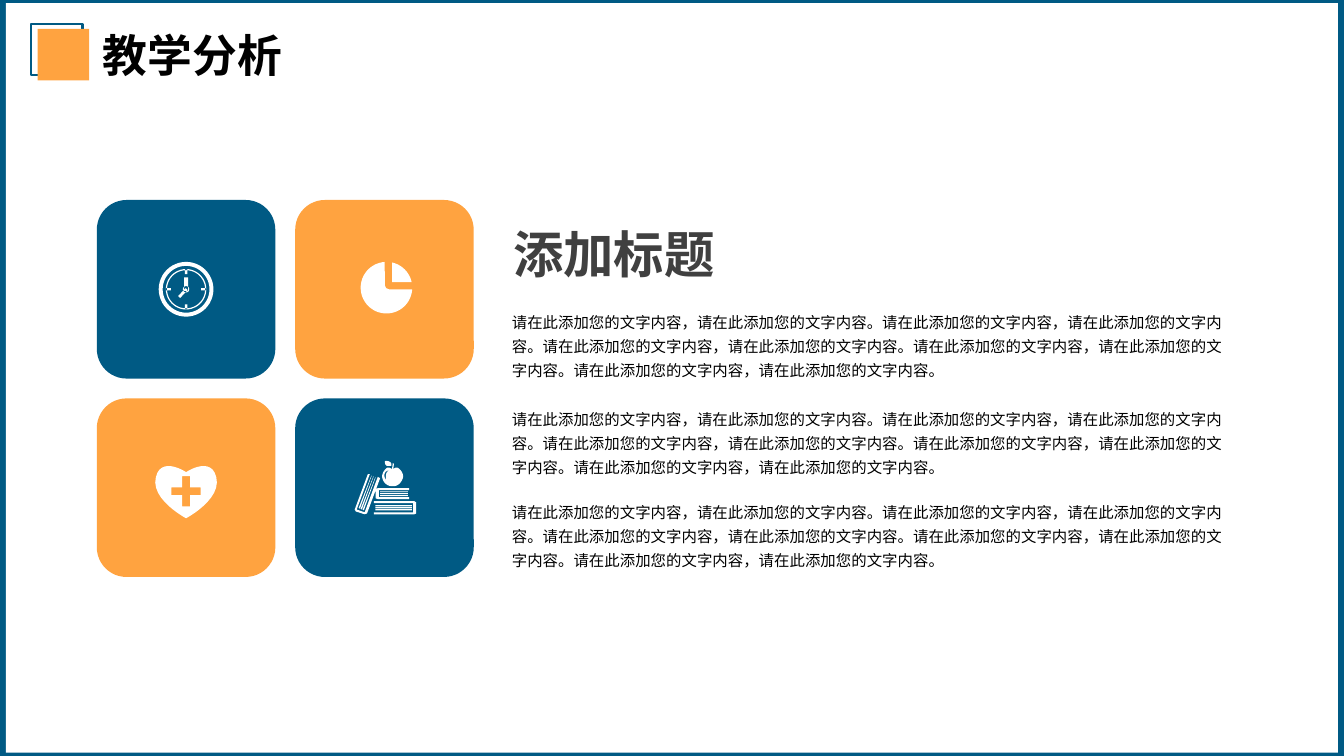
from dataclasses import dataclass
from math import cos, radians, sin

from pptx import Presentation
from pptx.dml.color import RGBColor
from pptx.enum.shapes import MSO_SHAPE as Preset
from pptx.enum.text import MSO_ANCHOR as Anchor, MSO_AUTO_SIZE as AutoSize, PP_ALIGN as Align
from pptx.util import Cm, Pt


@dataclass(frozen=True)
class Theme:
    blue: str = "005A84"
    orange: str = "FFA340"
    white: str = "FFFFFF"
    black: str = "000000"
    grey: str = "404040"
    font: str = "Arial"
    title_size: int = 32
    heading_size: int = 36
    body_size: int = 11


THEME = Theme()
TILE_LEFT, TILE_TOP, TILE_SIZE, TILE_PITCH = 2.44, 5.04, 4.5, 5
FINE = 10
PHRASE = "请在此添加您的文字内容"
BODY = f"{PHRASE}，{PHRASE}。" * 5


def set_text(box, text, size, color=THEME.black, bold=False, align=Align.LEFT,
             spacing=1.0, wrap=False):
    frame = box.text_frame
    frame.word_wrap = wrap
    frame.auto_size = AutoSize.SHAPE_TO_FIT_TEXT
    frame.vertical_anchor = Anchor.TOP
    frame.text = text
    paragraph = frame.paragraphs[0]
    paragraph.alignment = align
    paragraph.line_spacing = spacing
    font = paragraph.runs[0].font
    font.name = THEME.font
    font.size = Pt(size)
    font.bold = bold
    font.color.rgb = RGBColor.from_string(color)


def place(box, left, top, width, height):
    box.left, box.top, box.width, box.height = Cm(left), Cm(top), Cm(width), Cm(height)


def add_text(slide, area, text, size, **style):
    box = slide.shapes.add_textbox(*map(Cm, area))
    set_text(box, text, size, **style)


def paint(shape, fill=None, line=None):
    shape.shadow.inherit = False
    if fill:
        shape.fill.solid()
        shape.fill.fore_color.rgb = RGBColor.from_string(fill)
    else:
        shape.fill.background()
    if line:
        shape.line.color.rgb = RGBColor.from_string(line)
        shape.line.width = Pt(1.5)
    else:
        shape.line.fill.background()


def add_block(slide, area, preset=Preset.RECTANGLE, **colors):
    block = slide.shapes.add_shape(preset, *map(Cm, area))
    paint(block, **colors)


def arc(x, y, radius, start=0, end=360, steps=48):
    angles = [radians(start + (end - start) * i / steps) for i in range(steps + 1)]
    return [(x + radius * cos(a), y + radius * sin(a)) for a in angles]


def bar(left, top, right, bottom):
    return [(left, top), (right, top), (right, bottom), (left, bottom)]


def outline(start, *segments, steps=12):
    points = [start]
    for segment in segments:
        if len(segment) == 2:
            points.append(segment)
            continue
        x0, y0 = points[-1]
        x1, y1, x2, y2, x3, y3 = segment
        for i in range(1, steps + 1):
            t = i / steps
            u = 1 - t
            a, b, c, d = u ** 3, 3 * u * u * t, 3 * u * t * t, t ** 3
            points.append((a * x0 + b * x1 + c * x2 + d * x3,
                           a * y0 + b * y1 + c * y2 + d * y3))
    return points


def clock():
    rings = [arc(0, 0, radius) for radius in (69, 59, 51, 48, 8)]
    ticks = [bar(-3, -51, 3, -38), bar(-3, 38, 3, 51),
             bar(-51, -3, -38, 3), bar(38, -3, 51, 3)]
    hands = [bar(-5, -30, 5, 4), [(-1, -3), (4, 2), (-15, 22), (-20, 17)]]
    return rings + ticks + hands


def pie():
    body = arc(5, -4, 65, 4, 266) + [(1, -10), (4, -3), (11, 0)]
    wedge = arc(5, -4, 65, -77.5, -12.5) + [(19, -18)]
    return [body, wedge]


def heart():
    half = outline((0, -39), (8, -45, 64, -77, 76, -27), (91, 29, 0, 77, 0, 77))
    corner = [(10, -38), (10, -10), (37, -10)]
    right = corner + [(x, -y) for x, y in reversed(corner)]
    cross = [(x, y + 9) for x, y in right + [(-x, y) for x, y in reversed(right)]]
    return [half + [(-x, y) for x, y in reversed(half)], cross]


def books():
    apple = outline((34, -50), (42, -44, 47, -37, 47, -27), (44, -14, 34, -4, 24, -4),
                    (18, -4), (6, -4, -4, -14, -6, -27), (-6, -37, -1, -44, 6, -50),
                    (11, -52, 14, -50, 19, -47), (21, -62), (24, -60), (22, -47),
                    (27, -50, 29, -52, 34, -50))
    shine = outline((14, -44), (-1, -44, -4, -30, 4, -19), (2, -32, 4, -42, 14, -44))
    leaf = outline((6, -55), (1, -58, 1, -62, 1, -67), (10, -69, 20, -64, 17, -55))
    lower = [(72, 39), (72, 62), (-27, 62), (-27, 67), (75, 67),
             (80, 65), (80, 37), (75, 34), (-27, 34), (-27, 39)]
    middle = [(-14, 6), (-14, 24), (62, 24), (62, 29), (-16, 29),
              (-22, 27), (-22, 3), (-16, 1), (62, 1), (62, 6)]
    leaning = [(-70, 55), (-50, 62), (-17, -27), (-11, -24), (-44, 65),
               (-50, 67), (-72, 60), (-75, 55), (-42, -34), (-37, -34)]
    pages = []
    for i in range(3):
        pages.append(bar(-23, 44 + 5 * i, 69, 47 + 5 * i))
        pages.append(bar(-11, 9 + 5 * i, 59, 11 + 5 * i))
        pages.append([(x - 5 * i, y - 2 * i) for x, y in
                      ((-24, -24), (-55, 55), (-52, 57), (-22, -27))])
    return [apple, shine, leaf, lower, middle, leaning] + pages


def add_icon(slide, x, y, contours):
    fine = [[(px * FINE, py * FINE) for px, py in contour] for contour in contours]
    builder = slide.shapes.build_freeform(*fine[0][0], scale=Cm(0.01) / FINE)
    for number, contour in enumerate(fine):
        if number:
            builder.move_to(*contour[0])
        builder.add_line_segments(contour[1:], close=True)
    paint(builder.convert_to_shape(Cm(x), Cm(y)), fill=THEME.white)


def add_tile(slide, column, row, color, contours):
    left, top = TILE_LEFT + column * TILE_PITCH, TILE_TOP + row * TILE_PITCH
    add_block(slide, (left, top, TILE_SIZE, TILE_SIZE), Preset.ROUNDED_RECTANGLE, fill=color)
    add_icon(slide, left + TILE_SIZE / 2, top + TILE_SIZE / 2, contours)


def add_frame(slide):
    add_block(slide, (0, 0, 33.87, 19.05), fill=THEME.blue)
    add_block(slide, (0.15, 0.08, 33.57, 18.89), fill=THEME.white)
    add_block(slide, (0.78, 0.6, 1.3, 1.3), line=THEME.blue)
    add_block(slide, (0.95, 0.73, 1.3, 1.3), fill=THEME.orange)


def add_title(slide, text):
    title = slide.shapes.title
    title.element.getparent().append(title.element)
    place(title, 2.34, 0.56, 5.08, 1.63)
    set_text(title, text, THEME.title_size, bold=True)


def main():
    deck = Presentation()
    deck.slide_width, deck.slide_height = Cm(33.87), Cm(19.05)
    slide = deck.slides.add_slide(deck.slide_layouts[5])
    add_frame(slide)
    add_title(slide, "教学分析")
    add_tile(slide, 0, 0, THEME.blue, clock())
    add_tile(slide, 1, 0, THEME.orange, pie())
    add_tile(slide, 1, 1, THEME.blue, books())
    add_tile(slide, 0, 1, THEME.orange, heart())
    add_text(slide, (12.65, 5.49, 5.64, 1.8), "添加标题", THEME.heading_size,
             color=THEME.grey, bold=True, align=Align.CENTER)
    for top in (7.62, 10.06, 12.42):
        add_text(slide, (12.65, top, 18.77, 2.64), BODY, THEME.body_size,
                 spacing=1.3, wrap=True)
    deck.save("out.pptx")


if __name__ == "__main__":
    main()
